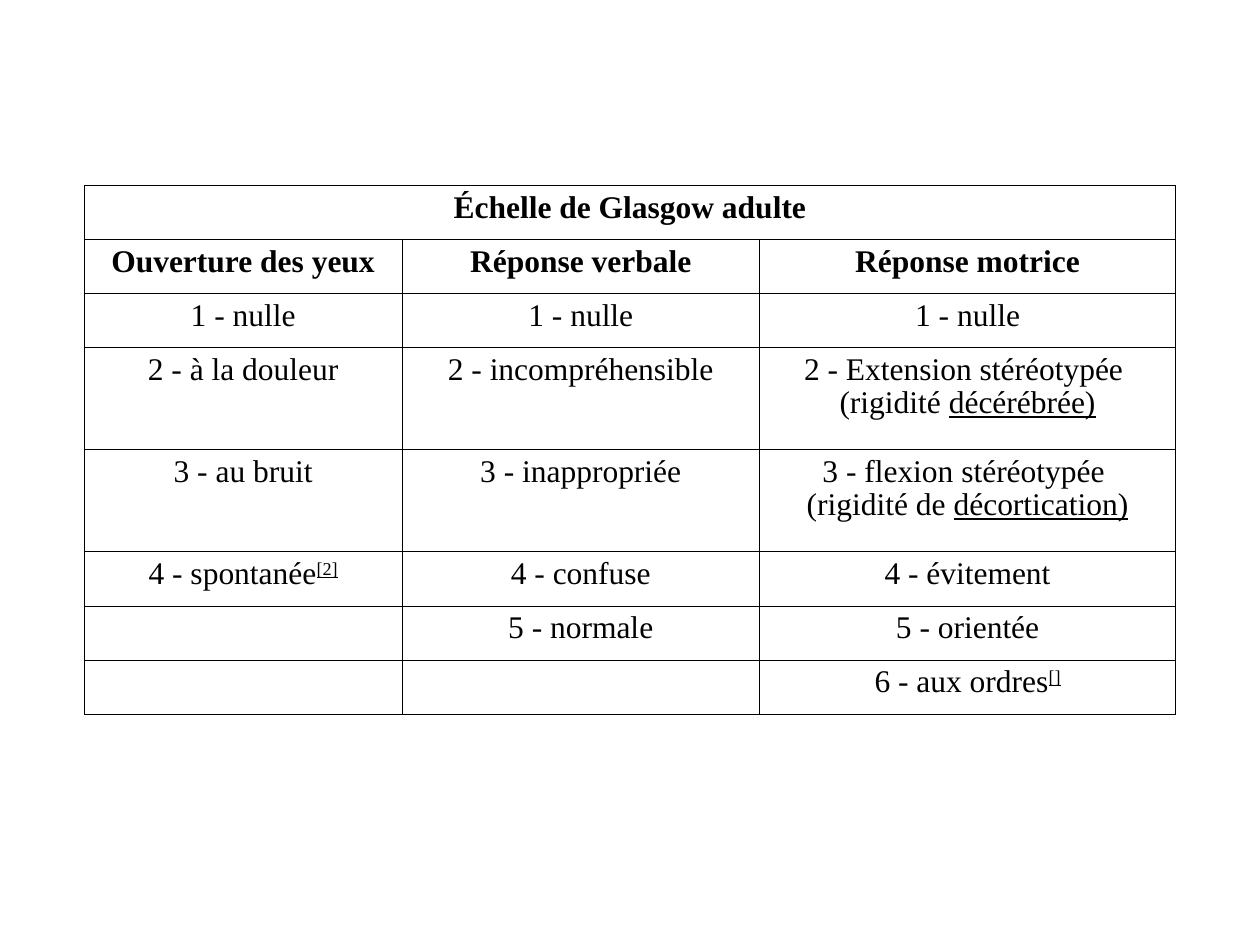
from copy import deepcopy

from lxml import etree
from pptx import Presentation
from pptx.dml.color import RGBColor
from pptx.enum.text import MSO_ANCHOR, PP_ALIGN
from pptx.oxml.ns import qn
from pptx.util import Inches, Pt

COLORS = {"text": "000000", "border": "000000"}
FONT = "Times New Roman"
BORDER_WIDTH = Pt(0.45)

# Grid, in inches
COLUMNS = [2.52, 2.84, 3.3]
SINGLE, DOUBLE = 0.43, 0.81
LEFT, TOP = 0.67, 1.47

# Each entry is plain text, or (text, underlined ending, superscript or not)
ROWS = [
    ["Échelle de Glasgow adulte", "", ""],
    ["Ouverture des yeux", "Réponse verbale", "Réponse motrice"],
    ["1 - nulle", "1 - nulle", "1 - nulle"],
    ["2 - à la douleur", "2 - incompréhensible",
     ("2 - Extension stéréotypée \v(rigidité ", "décérébrée)", False)],
    ["3 - au bruit", "3 - inappropriée",
     ("3 - flexion stéréotypée \v(rigidité de ", "décortication)", False)],
    [("4 - spontanée", "[2]", True), "4 - confuse", "4 - évitement"],
    ["", "5 - normale", "5 - orientée"],
    ["", "", ("6 - aux ordres", "[]", True)],
]
TWO_LINE_ROWS = (3, 4)
heights = [DOUBLE if index in TWO_LINE_ROWS else SINGLE for index in range(len(ROWS))]


def add_borders(cell):
    properties = cell._tc.get_or_add_tcPr()
    for position, side in enumerate(("lnL", "lnR", "lnT", "lnB")):
        line = etree.Element(qn(f"a:{side}"), w=str(int(BORDER_WIDTH)))
        fill = etree.SubElement(line, qn("a:solidFill"))
        etree.SubElement(fill, qn("a:srgbClr"), val=COLORS["border"])
        properties.insert(position, line)


def write_text(cell, entry, bold):
    text, ending, superscript = (entry, "", False) if isinstance(entry, str) else entry
    paragraph = cell.text_frame.paragraphs[0]
    paragraph.alignment = PP_ALIGN.CENTER
    paragraph.line_spacing = 0.95
    paragraph.text = text
    if ending:
        run = paragraph.add_run()
        run.text = ending
        run.font.underline = True
        if superscript:
            run.font._element.set("baseline", "30000")
    for run in paragraph.runs:
        run.font.name = FONT
        run.font.size = Pt(18)
        run.font.bold = bold
        run.font.color.rgb = RGBColor.from_string(COLORS["text"])
    # Line breaks take the format of the first run
    for line_break in paragraph._p.findall(qn("a:br")):
        line_break.append(deepcopy(paragraph.runs[0].font._element))


presentation = Presentation()
presentation.slide_width = Inches(10)
presentation.slide_height = Inches(7.5)
slide = presentation.slides.add_slide(presentation.slide_layouts[6])

# Table frame
table = slide.shapes.add_table(
    len(ROWS), len(COLUMNS), Inches(LEFT), Inches(TOP),
    Inches(sum(COLUMNS)), Inches(sum(heights))).table
table.first_row = False
table.horz_banding = False
for column, width in zip(table.columns, COLUMNS):
    column.width = Inches(width)
for row, height in zip(table.rows, heights):
    row.height = Inches(height)

# Cells: the first two rows are headings
for row_index, entries in enumerate(ROWS):
    for column_index, entry in enumerate(entries):
        cell = table.cell(row_index, column_index)
        cell.margin_left = cell.margin_right = Inches(0.01)
        cell.margin_top = cell.margin_bottom = Inches(0.05)
        cell.vertical_anchor = MSO_ANCHOR.TOP
        cell.fill.background()
        add_borders(cell)
        if entry:
            write_text(cell, entry, bold=row_index < 2)

# Title row spans the table
table.cell(0, 0).merge(table.cell(0, len(COLUMNS) - 1))

presentation.save("out.pptx")
